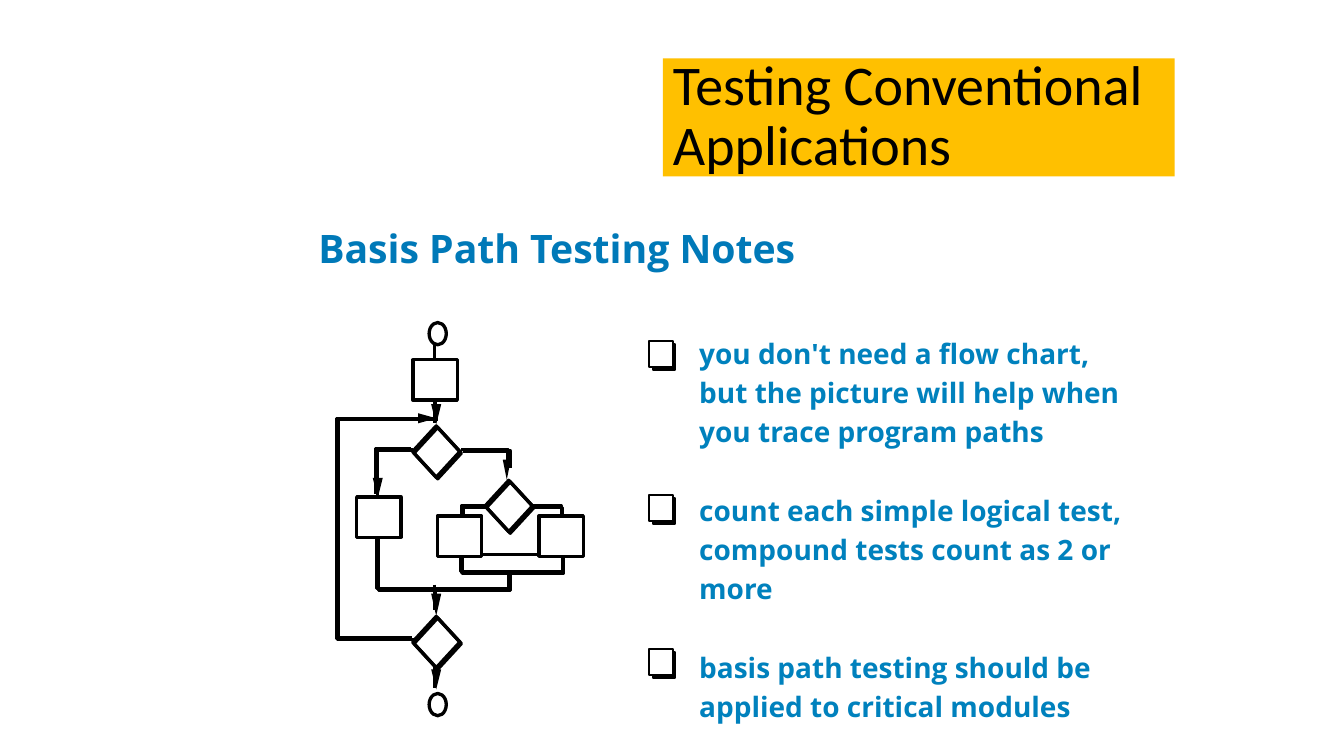
from lxml import etree
from pptx import Presentation
from pptx.dml.color import RGBColor
from pptx.enum.shapes import MSO_CONNECTOR, MSO_SHAPE as Kind
from pptx.enum.text import MSO_ANCHOR as Anchor, MSO_AUTO_SIZE as Fit, PP_ALIGN as Align
from pptx.oxml.ns import qn
from pptx.util import Inches, Pt

THICK, THIN, SHIFT = 2.38, 1.39, 0.015


def tint(code):
    return RGBColor.from_string(code)


class Deck:
    font = "Open Sans"
    ink = "000000"
    paper = "FFFFFF"

    def __init__(self, wide, high):
        self.show = Presentation()
        self.show.slide_width = Inches(wide)
        self.show.slide_height = Inches(high)
        self.slide = self.show.slides.add_slide(self.show.slide_layouts[5])
        self.shapes = self.slide.shapes

    def place(self, shape, box):
        shape.left, shape.top, shape.width, shape.height = map(Inches, box)

    def paint(self, shape, fill=None, line=None, width=THICK):
        shape.shadow.inherit = False
        if fill:
            shape.fill.solid()
            shape.fill.fore_color.rgb = tint(fill)
        else:
            shape.fill.background()
        if line:
            shape.line.color.rgb = tint(line)
            shape.line.width = Pt(width)
        else:
            shape.line.fill.background()

    def add_words(self, para, words, size, color, font=None, bold=True):
        run = para.add_run()
        run.text = words
        run.font.name = font or self.font
        run.font.size = Pt(size)
        run.font.bold = bold
        run.font.color.rgb = tint(color)

    def title(self, words, box):
        shape = self.shapes.title
        self.place(shape, box)
        shape.fill.solid()
        shape.fill.fore_color.rgb = tint("FFC000")
        frame = shape.text_frame
        frame.word_wrap = True
        frame.auto_size = Fit.NONE
        frame.vertical_anchor = Anchor.MIDDLE
        para = frame.paragraphs[0]
        para.alignment = Align.LEFT
        para.line_spacing = 0.9
        self.add_words(para, words, 40, self.ink, "Calibri", False)

    def text(self, words, box, size, color, pitch=None):
        shape = self.shapes.add_textbox(*map(Inches, box))
        frame = shape.text_frame
        frame.word_wrap = True
        frame.margin_left = frame.margin_right = 0
        frame.margin_top = frame.margin_bottom = 0
        para = frame.paragraphs[0]
        if pitch:
            para.line_spacing = Pt(pitch)
        self.add_words(para, words, size, color)

    def node(self, kind, box, fill=paper, width=THICK):
        shape = self.shapes.add_shape(kind, *map(Inches, box))
        self.paint(shape, fill, self.ink, width)

    def gem(self, x, y):
        w, h = 0.47, 0.51
        left, top = x - w / 2, y - h / 2
        self.node(Kind.DIAMOND, (left + SHIFT, top + SHIFT, w, h))
        self.node(Kind.DIAMOND, (left, top, w, h), None)

    def form(self, points, close=False):
        spots = [(Inches(x), Inches(y)) for x, y in points]
        pen = self.shapes.build_freeform(*spots[0], scale=1.0)
        pen.add_line_segments(spots[1:], close=close)
        return pen.convert_to_shape()

    def trace(self, *points):
        for gap in (SHIFT, 0):
            shape = self.form([(x + gap, y + gap) for x, y in points])
            self.paint(shape, None, self.ink)

    def stem(self, x1, y1, x2, y2, width=THICK):
        ends = map(Inches, (x1, y1, x2, y2))
        line = self.shapes.add_connector(MSO_CONNECTOR.STRAIGHT, *ends)
        line.line.color.rgb = tint(self.ink)
        line.line.width = Pt(width)
        etree.SubElement(line._element.spPr, qn("a:effectLst"))

    def head(self, x, y, size=0.2, half=0.05, side=False, tail=0.06):
        if side:
            points = [(x, y), (x - size, y + half), (x - size, y - half)]
            back = (x - size - tail, y, x - size, y)
        else:
            points = [(x, y), (x - half, y - size), (x + half, y - size)]
            back = (x, y - size - tail, x, y - size)
        self.paint(self.form(points, True), self.ink)
        self.stem(*back, THIN)

    def check(self, x, y):
        self.node(Kind.RECTANGLE, (x + 0.04, y + 0.03, 0.22, 0.26), self.ink, THIN)
        self.node(Kind.RECTANGLE, (x, y, 0.24, 0.26), width=THIN)


def flow(deck):
    mid, right = 4.33, 5.05
    deck.stem(4.31, 3.39, 4.31, 4.2)
    for top in (3.2, 6.88):
        deck.node(Kind.OVAL, (4.26, top, 0.17, 0.22))

    deck.trace((4.58, 4.46), (right, 4.46), (right, 4.63))
    deck.trace((4.08, 4.45), (3.73, 4.45), (3.73, 4.9))
    deck.trace((5.28, 5.02), (5.57, 5.02), (5.57, 5.27))
    deck.trace((4.85, 5.02), (4.58, 5.02), (4.58, 5.35))
    deck.trace((4.57, 5.5), (4.57, 5.67), (5.58, 5.67), (5.58, 5.5))
    deck.stem(4.56, 5.5, 5.57, 5.5)
    deck.trace((right, 5.69), (right, 5.84), (3.74, 5.84), (3.74, 5.32))
    deck.trace((4.09, 6.33), (3.34, 6.33), (3.34, 4.15), (mid, 4.15))
    deck.stem(4.31, 5.8, 4.31, 6.05)
    deck.stem(4.31, 6.58, 4.31, 6.83)

    for x, y in ((mid, 4.48), (right, 5.02), (mid, 6.37)):
        deck.gem(x, y)
    for x, y in ((4.1, 3.57), (4.34, 5.12), (5.35, 5.12), (3.54, 4.93)):
        deck.node(Kind.RECTANGLE, (x, y, 0.44, 0.4))

    deck.head(mid, 4.15, 0.18, side=True, tail=0.03)
    deck.head(5.03, 4.76, half=0.04, tail=0.09)
    deck.head(3.75, 4.94)
    deck.head(mid, 6.11, 0.22)
    deck.head(mid, 4.21, tail=0.02)
    deck.head(mid, 6.84, tail=0.01)


def main():
    deck = Deck(13.34, 7.5)
    deck.title("Testing Conventional Applications", (6.58, 0.58, 5.08, 1.17))
    deck.text("Basis Path Testing Notes", (3.16, 2.23, 5.2, 0.52), 28, "0079B8")
    flow(deck)
    notes = (
        ("you don't need a flow chart, but the picture will help when "
         "you trace program paths", 3),
        ("count each simple logical test, compound tests count as 2 or more", 3),
        ("basis path testing should be applied to critical modules", 2),
    )
    for i, (words, rows) in enumerate(notes):
        deck.check(6.44, 3.38 + 1.53 * i)
        box = (6.94, 3.28 + 1.56 * i, 4.4, 0.39 * rows)
        deck.text(words, box, 20, "0081BD", 28)
    deck.show.save("out.pptx")


if __name__ == "__main__":
    main()
